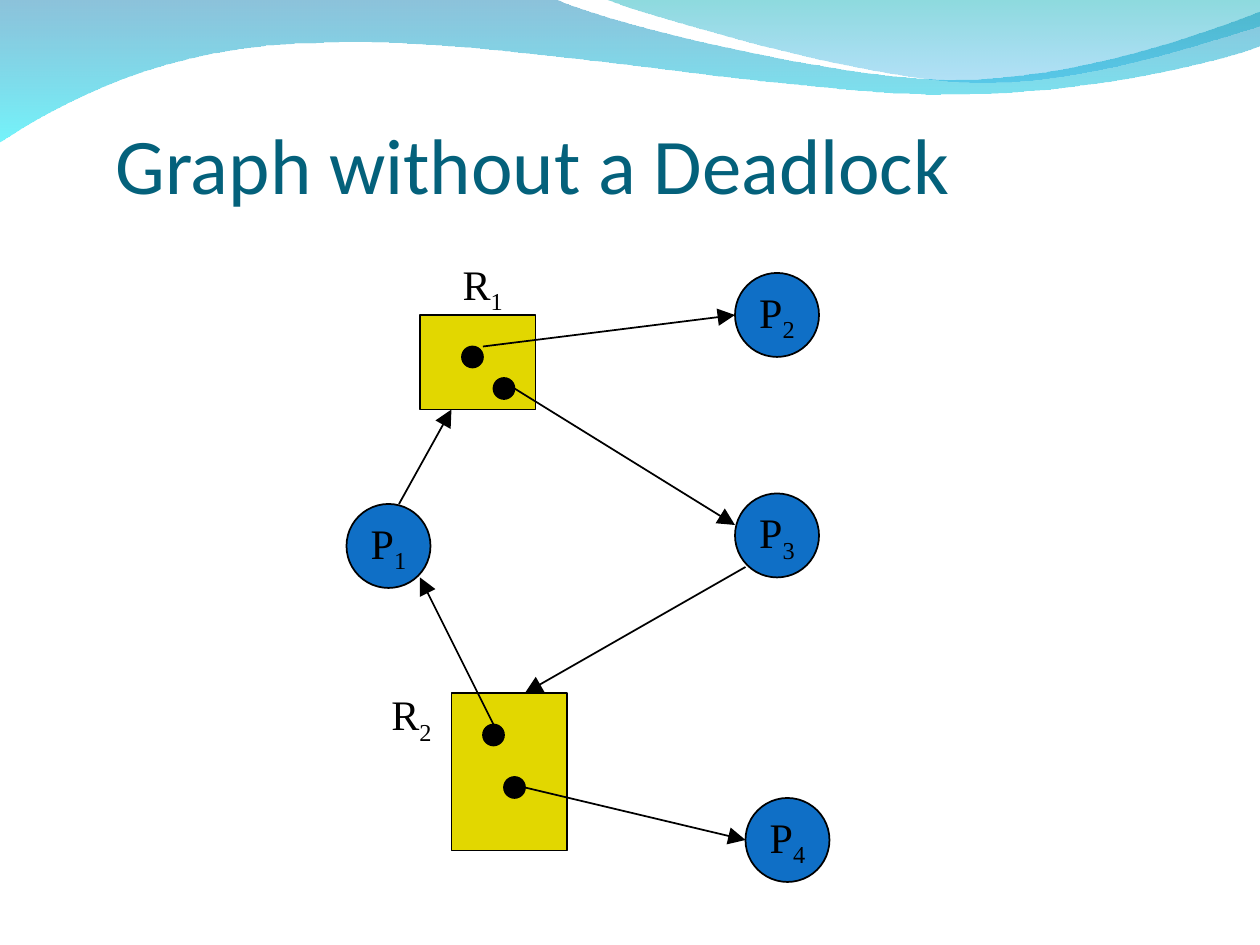
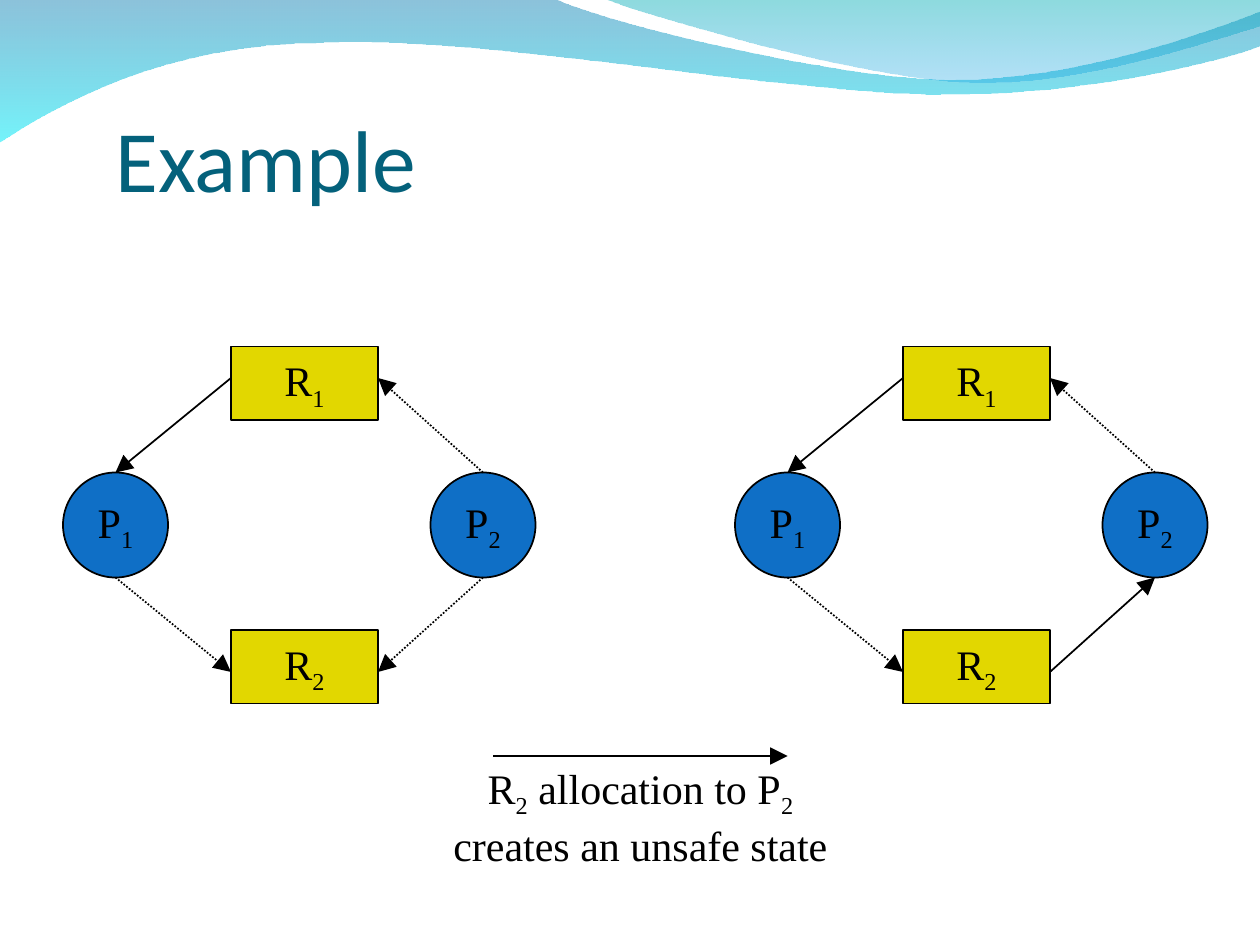
from pptx import Presentation
from pptx.dml.color import RGBColor
from pptx.enum.dml import MSO_LINE
from pptx.enum.shapes import MSO_CONNECTOR, MSO_SHAPE
from pptx.enum.text import MSO_ANCHOR, MSO_AUTO_SIZE, PP_ALIGN
from pptx.oxml.ns import qn
from pptx.util import Pt
from lxml import etree

RECT, OVAL = MSO_SHAPE.RECTANGLE, MSO_SHAPE.OVAL
STRAIGHT, DOTTED = MSO_CONNECTOR.STRAIGHT, MSO_LINE.ROUND_DOT
LEFT, CENTER = PP_ALIGN.LEFT, PP_ALIGN.CENTER
MIDDLE, BOTTOM = MSO_ANCHOR.MIDDLE, MSO_ANCHOR.BOTTOM
NO_FIT, GROW = MSO_AUTO_SIZE.NONE, MSO_AUTO_SIZE.SHAPE_TO_FIT_TEXT

BLACK = RGBColor(0x00, 0x00, 0x00)
YELLOW = RGBColor(0xE2, 0xD7, 0x00)
BLUE = RGBColor(0x0F, 0x6F, 0xC6)
TEAL = RGBColor(0x04, 0x61, 0x7B)

BODY = {"name": "Times New Roman", "size": Pt(24)}
HEAD = {"type": "triangle", "w": "lg", "len": "lg"}
DOT = 12

# Each wave: start, then steps of one point (line) or three (curve);
# then its gradient stops as colour and opacity in percent.
WAVES = [
    ((0, -0.7),
     [[(316.8, -0.7)],
      [(342.7, 12.2), (478.1, 45.4), (545.8, 45.4)],
      [(614.2, 45.4), (689.8, 18.7), (720, 6.5)],
      [(720.7, 25.9)],
      [(707.8, 31.7), (626.4, 54.7), (537.1, 54)],
      [(447.8, 54), (275, 20.2), (185, 24.5)],
      [(92.9, 25.2), (33.1, 59.8), (-0.7, 81.4)],
      [(0, -0.7)]],
     [(RGBColor(0x00, 0x79, 0xAF), 45), (RGBColor(0x00, 0xEB, 0xF8), 55)]),
    ((344.9, -0.7),
     [[(366.5, 7.9), (491, 44.6), (553.7, 46.8)],
      [(616.3, 49.7), (691.9, 23), (720, 15.1)],
      [(720, 0)],
      [(344.9, -0.7)]],
     [(RGBColor(0x00, 0xAD, 0xB6), 45), (RGBColor(0x00, 0x9B, 0xE5), 30)]),
]


def apply(obj, **values):
    for name, value in values.items():
        setattr(obj, name, value)


def add_outline(slide, start, steps):
    """Build the freeform, then turn each three-point step into a curve."""
    pen = slide.shapes.build_freeform(Pt(start[0]), Pt(start[1]), scale=1.0)
    pen.add_line_segments(
        [(Pt(x), Pt(y)) for step in steps for x, y in step], close=True)
    shape = pen.convert_to_shape()
    lines = iter(list(shape.element.iter(qn("a:lnTo"))))
    for step in steps:
        first, *rest = [next(lines) for _ in step]
        if rest:
            first.tag = qn("a:cubicBezTo")
        for line in rest:
            first.append(line[0])
            line.getparent().remove(line)
    return shape


def add_waves(slide):
    """Draw the top waves and move them to the back of the shared layout."""
    for index, (start, steps, stops) in enumerate(WAVES):
        wave = add_outline(slide, start, steps)
        wave.shadow.inherit = False
        wave.line.fill.background()
        wave.fill.gradient()
        wave.fill.gradient_angle = 270
        for stop, (color, _), place in zip(wave.fill.gradient_stops, stops, (0, 1)):
            stop.color.rgb = color
            stop.position = place
        for tint, (_, alpha) in zip(wave.element.iter(qn("a:srgbClr")), stops):
            etree.SubElement(tint, qn("a:alpha")).set("val", str(alpha * 1000))
        slide.slide_layout.shapes.element.insert(2 + index, wave.element)


def add_title(slide, text, width, size):
    title = slide.shapes.title
    apply(title, left=Pt(66), top=Pt(33), width=Pt(width), height=Pt(87))
    frame = title.text_frame
    frame.text = text
    apply(frame, vertical_anchor=BOTTOM, auto_size=NO_FIT, margin_left=0,
          margin_right=0, margin_top=Pt(3.6), margin_bottom=0)
    para = frame.paragraphs[0]
    para.alignment = LEFT
    apply(para.font, name="Calibri", size=Pt(size))
    para.font.color.rgb = TEAL


def add_run(para, text, sub=False):
    run = para.add_run()
    run.text = text
    apply(run.font, **BODY)
    run.font.color.rgb = BLACK
    if sub:
        run.font._element.set("baseline", "-25000")


def write(frame, text, align):
    """Fill the frame; the digit after an underscore is a subscript."""
    frame.word_wrap = False
    para = frame.paragraphs[0]
    para.alignment = align
    for row, line in enumerate(text.split("\n")):
        if row:
            para.add_line_break()
        first, *rest = line.split("_")
        add_run(para, first)
        for part in rest:
            add_run(para, part[0], sub=True)
            if part[1:]:
                add_run(para, part[1:])


def add_node(slide, kind, x, y, w, h, fill, text=None):
    node = slide.shapes.add_shape(kind, Pt(x), Pt(y), Pt(w), Pt(h))
    node.shadow.inherit = False
    node.fill.solid()
    node.fill.fore_color.rgb = fill
    node.line.color.rgb = BLACK
    node.line.width = Pt(1)
    if text:
        node.text_frame.vertical_anchor = MIDDLE
        write(node.text_frame, text, CENTER)


def add_label(slide, x, y, w, h, text, align=LEFT):
    box = slide.shapes.add_textbox(Pt(x), Pt(y), Pt(w), Pt(h))
    write(box.text_frame, text, align)
    box.text_frame.auto_size = GROW


def add_arrow(slide, start, end, dash=None):
    arrow = slide.shapes.add_connector(
        STRAIGHT, *(Pt(v) for v in (*start, *end)))
    arrow.line.color.rgb = BLACK
    apply(arrow.line, width=Pt(1), dash_style=dash)
    props = arrow.element.spPr
    etree.SubElement(props.find(qn("a:ln")), qn("a:tailEnd"), HEAD)
    etree.SubElement(props, qn("a:effectLst"))


def draw_graph(slide):
    add_title(slide, "Graph without a Deadlock", 492, 45)
    for x, y, high in [(240, 180, 54), (258, 396, 90)]:
        add_node(slide, RECT, x, y, 66, high, YELLOW)
    for x, y in [(264, 198), (282, 216), (276, 414), (288, 444)]:
        add_node(slide, OVAL, x, y, DOT, DOT, BLACK)
    for num, (x, y) in enumerate([(257.25, 144), (216.5, 390)], 1):
        add_label(slide, x, y, 37.5, 40, f"R_{num}")
    spots = [(198, 288), (420, 156), (420, 282), (426, 456)]
    for num, (x, y) in enumerate(spots, 1):
        add_node(slide, OVAL, x, y, 48, 48, BLUE, f"P_{num}")
    for start, end in [
        ((228, 288), (258, 234)),
        ((276, 198), (420, 180)),
        ((294, 222), (420, 300)),
        ((426, 324), (300, 396)),
        ((282, 414), (240, 330)),
        ((300, 450), (426, 480)),
    ]:
        add_arrow(slide, start, end)


def draw_cycle(slide, left, granted):
    """Draw two processes and two resources; granted gives R2 to P2."""
    for num, y in enumerate((198, 360), 1):
        add_node(slide, RECT, left + 96, y, 84, 42, YELLOW, f"R_{num}")
    for num, x in enumerate((0, 210), 1):
        add_node(slide, OVAL, left + x, 270, 60, 60, BLUE, f"P_{num}")
    near, west, east, far = (left + x for x in (30, 96, 180, 240))
    add_arrow(slide, (west, 216), (near, 270))
    add_arrow(slide, (near, 330), (west, 384), DOTTED)
    add_arrow(slide, (far, 270), (east, 216), DOTTED)
    if granted:
        add_arrow(slide, (east, 384), (far, 330))
    else:
        add_arrow(slide, (far, 330), (east, 384), DOTTED)


def draw_example(slide):
    add_title(slide, "Example", 192, 50)
    draw_cycle(slide, 36, granted=False)
    draw_cycle(slide, 420, granted=True)
    add_arrow(slide, (282, 432), (450, 432))
    add_label(slide, 251, 432, 230, 69,
              "R_2 allocation to P_2\ncreates an unsafe state", CENTER)


def main():
    deck = Presentation()
    apply(deck, slide_width=Pt(720), slide_height=Pt(540))
    layout = deck.slide_layouts.get_by_name("Title Only")
    graph, example = (deck.slides.add_slide(layout) for _ in range(2))
    add_waves(graph)
    draw_graph(graph)
    draw_example(example)
    deck.save("out.pptx")


if __name__ == "__main__":
    main()
